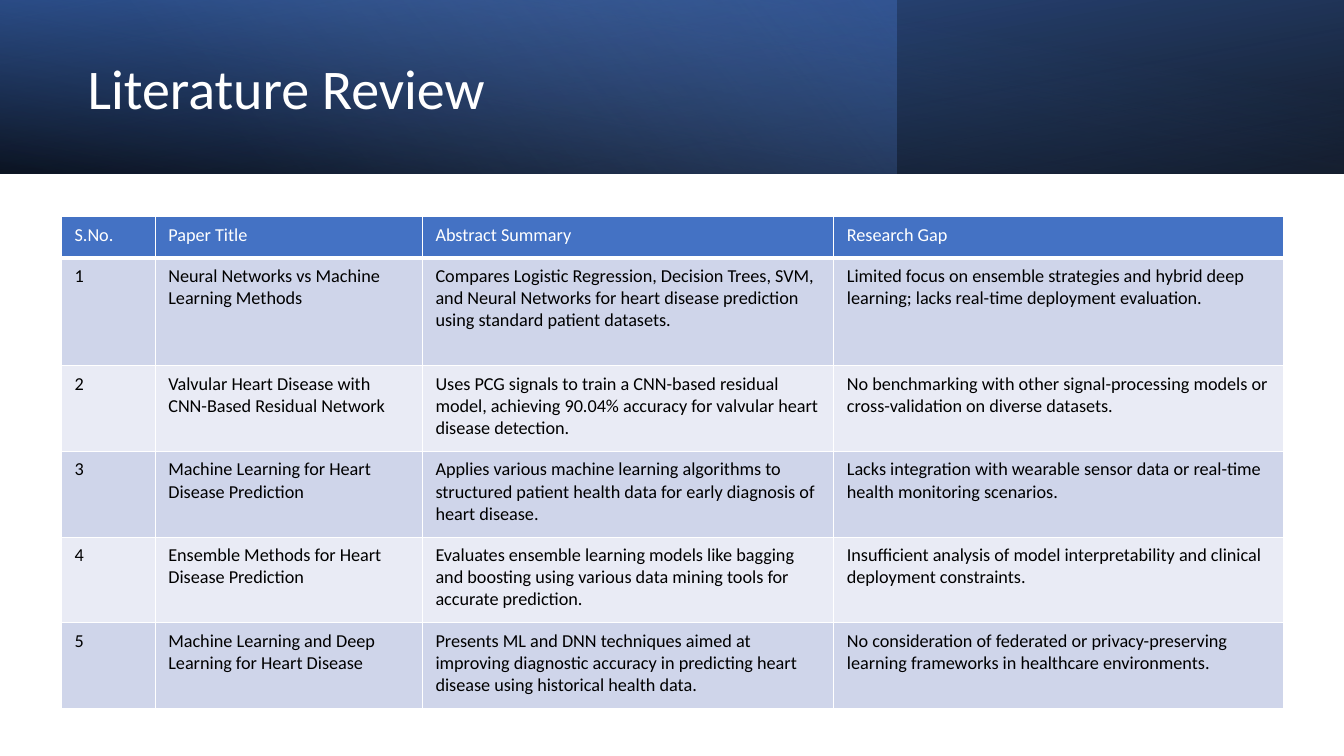
import lxml.etree
import pptx
import pptx.dml.color
import pptx.enum.shapes
import pptx.enum.text
import pptx.oxml.ns
import pptx.util

Inches = pptx.util.Inches
Pt = pptx.util.Pt
qn = pptx.oxml.ns.qn

COLUMN_WIDTHS = [0.93, 2.65, 4.08, 4.46]
ROW_HEIGHTS = [0.41, 1.07] + [0.85] * 4
HEADINGS = ["S.No.", "Paper Title", "Abstract Summary", "Research Gap"]
PAPERS = [
    ("Neural Networks vs Machine Learning Methods",
     "Compares Logistic Regression, Decision Trees, SVM, and Neural Networks for heart disease prediction using standard patient datasets.",
     "Limited focus on ensemble strategies and hybrid deep learning; lacks real-time deployment evaluation."),
    ("Valvular Heart Disease with CNN-Based Residual Network",
     "Uses PCG signals to train a CNN-based residual model, achieving 90.04% accuracy for valvular heart disease detection.",
     "No benchmarking with other signal-processing models or cross-validation on diverse datasets."),
    ("Machine Learning for Heart Disease Prediction",
     "Applies various machine learning algorithms to structured patient health data for early diagnosis of heart disease.",
     "Lacks integration with wearable sensor data or real-time health monitoring scenarios."),
    ("Ensemble Methods for Heart Disease Prediction",
     "Evaluates ensemble learning models like bagging and boosting using various data mining tools for accurate prediction.",
     "Insufficient analysis of model interpretability and clinical deployment constraints."),
    ("Machine Learning and Deep Learning for Heart Disease",
     "Presents ML and DNN techniques aimed at improving diagnostic accuracy in predicting heart disease using historical health data.",
     "No consideration of federated or privacy-preserving learning frameworks in healthcare environments."),
]


def rgb(value):
    return pptx.dml.color.RGBColor.from_string(value)


def format_text(paragraph, size, color):
    for run in paragraph.runs:
        run.font.name = "Calibri"
        run.font.size = Pt(size)
        run.font.bold = False
        run.font.color.rgb = rgb(color)


def add_banner_layer(slide, width, stops, angle, rotation=0, flipped=False):
    layer = slide.shapes.add_shape(
        pptx.enum.shapes.MSO_SHAPE.RECTANGLE, 0, 0, Inches(width), Inches(1.72))
    layer.shadow.inherit = False
    layer.line.fill.background()
    layer.rotation = rotation
    properties = layer.element.spPr
    if flipped:
        properties.find(qn("a:xfrm")).set("flipH", "1")
    layer.fill.gradient()
    layer.fill.gradient_angle = 360 - angle
    for stop, (position, color, opacity) in zip(layer.fill.gradient_stops, stops):
        stop.position = position / 100
        stop.color.rgb = rgb(color)
    for color_element, (_, _, opacity) in zip(properties.iter(qn("a:srgbClr")), stops):
        if opacity < 100:
            alpha = lxml.etree.SubElement(color_element, qn("a:alpha"))
            alpha.set("val", str(opacity * 1000))


def add_title(slide, text):
    title = slide.shapes.add_textbox(Inches(0.77), Inches(0.27), Inches(7.72), Inches(1.27))
    frame = title.text_frame
    frame.word_wrap = True
    frame.vertical_anchor = pptx.enum.text.MSO_ANCHOR.MIDDLE
    frame.text = text
    frame.paragraphs[0].line_spacing = 0.9
    format_text(frame.paragraphs[0], 40, "FFFFFF")


def add_borders(cell, bottom_width):
    properties = cell._tc.get_or_add_tcPr()
    widths = {"a:lnL": 1, "a:lnR": 1, "a:lnT": 1, "a:lnB": bottom_width}
    for index, (side, width) in enumerate(widths.items()):
        border = lxml.etree.Element(qn(side), w=str(Pt(width)))
        fill = lxml.etree.SubElement(border, qn("a:solidFill"))
        lxml.etree.SubElement(fill, qn("a:srgbClr"), val="FFFFFF")
        properties.insert(index, border)


def fill_cell(cell, text, fill, color, bottom_width):
    cell.margin_left = cell.margin_right = Inches(0.13)
    cell.margin_top = cell.margin_bottom = Inches(0.07)
    cell.fill.solid()
    cell.fill.fore_color.rgb = rgb(fill)
    add_borders(cell, bottom_width)
    cell.text_frame.text = text
    format_text(cell.text_frame.paragraphs[0], 13, color)


def add_review_table(slide):
    rows = [HEADINGS] + [(str(number), *paper) for number, paper in enumerate(PAPERS, 1)]
    review = slide.shapes.add_table(
        len(rows), len(HEADINGS), Inches(0.61), Inches(2.15),
        Inches(sum(COLUMN_WIDTHS)), Inches(sum(ROW_HEIGHTS))).table
    for column, width in zip(review.columns, COLUMN_WIDTHS):
        column.width = Inches(width)
    for row_index, (texts, height) in enumerate(zip(rows, ROW_HEIGHTS)):
        review.rows[row_index].height = Inches(height)
        if row_index == 0:
            style = ("4472C4", "FFFFFF", 3)
        else:
            style = ("CFD5EA" if row_index % 2 else "E9EBF5", "000000", 1)
        for column_index, text in enumerate(texts):
            fill_cell(review.cell(row_index, column_index), text, *style)


def main():
    deck = pptx.Presentation()
    deck.slide_width = Inches(13.33)
    deck.slide_height = Inches(7.5)
    slide = deck.slides.add_slide(deck.slide_layouts[6])
    add_banner_layer(slide, 13.33, [(0, "000000", 96), (100, "2F5597", 100)], 100,
                     rotation=180, flipped=True)
    add_banner_layer(slide, 8.89, [(0, "4472C4", 41), (74, "8FAADC", 0)], 140)
    add_banner_layer(slide, 13.33, [(0, "000000", 63), (78, "4472C4", 15)], 260, flipped=True)
    add_title(slide, "Literature Review")
    add_review_table(slide)
    deck.save("out.pptx")


if __name__ == "__main__":
    main()
